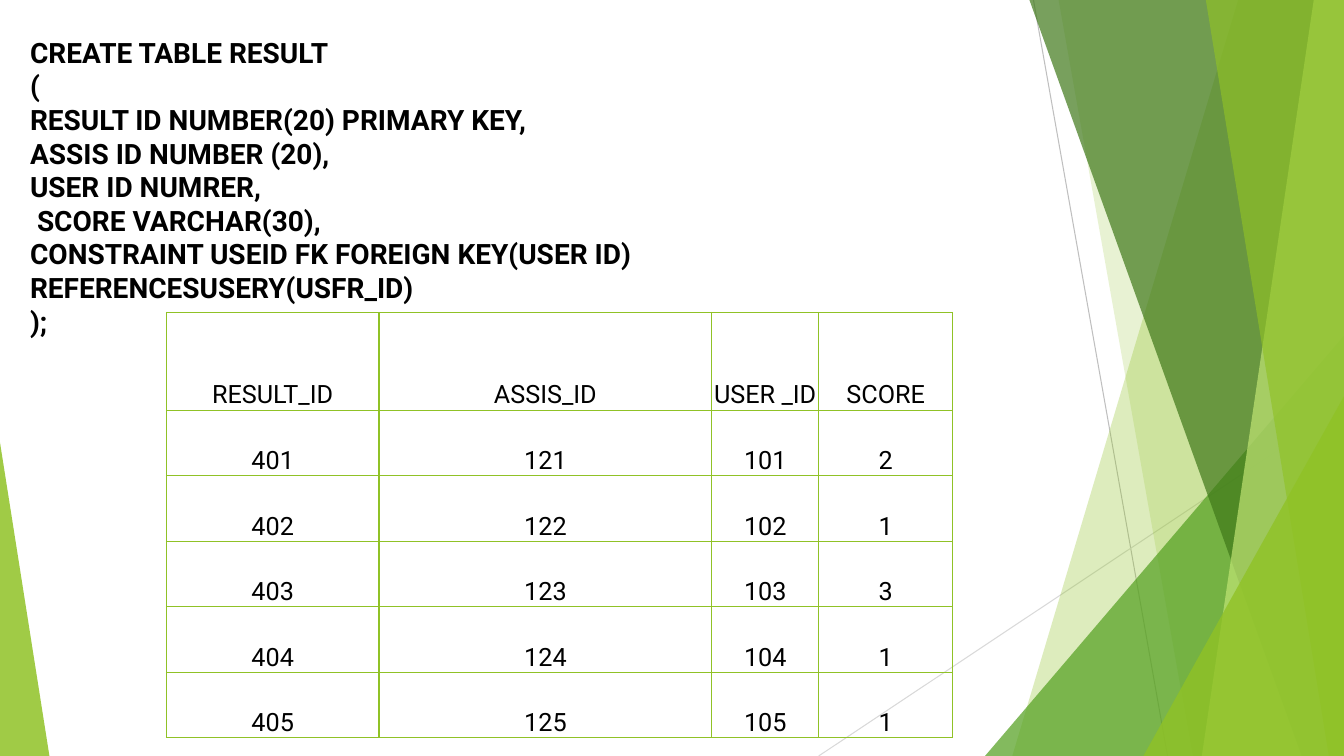
from dataclasses import dataclass
from typing import Any

from lxml.etree import SubElement
from pptx import Presentation
from pptx.dml.color import RGBColor
from pptx.enum.shapes import MSO_CONNECTOR, MSO_SHAPE
from pptx.enum.text import MSO_ANCHOR, PP_ALIGN
from pptx.oxml.ns import qn
from pptx.util import Inches, Pt

WIDE, HIGH = 13.33, 7.5


@dataclass(frozen=True)
class Theme:
    font: str = "Roboto"
    code: int = 20
    cell: int = 18
    ink: str = "000000"
    lime: str = "90C226"
    green: str = "54A021"
    dark: str = "3F7819"
    pale: str = "C0E474"
    gray: str = "BFBFBF"
    mist: str = "D9D9D9"


@dataclass(frozen=True)
class Ray:
    start: tuple[float, float]
    end: tuple[float, float]
    color: str


@dataclass(frozen=True)
class Band:
    """A panel reaching the right edge, with a slanted left side."""
    top: float
    base: float
    color: str
    alpha: int


@dataclass(frozen=True)
class Wedge:
    """A triangle standing on the bottom edge."""
    left: float
    top: float
    width: float
    peak: int
    color: str
    alpha: int


THEME = Theme()

RAYS = [
    Ray((10.25, 0), (11.58, HIGH), THEME.gray),
    Ray((WIDE, 4.03), (8.12, HIGH), THEME.mist),
]

# Back to front
FACETS = [
    Band(12.28, 10.04, THEME.lime, 30),
    Band(10.5, 11.83, THEME.lime, 20),
    Wedge(9.77, 3.33, 3.56, 1, THEME.green, 72),
    Band(10.21, 12.91, THEME.dark, 70),
    Band(13.03, 11.92, THEME.pale, 70),
    Band(11.96, 13.18, THEME.lime, 65),
    Wedge(11.34, 3.93, 1.99, 1, THEME.lime, 80),
    Wedge(0, 4.39, 0.49, 0, THEME.lime, 85),
]

CODE = """CREATE TABLE RESULT
(
RESULT ID NUMBER(20) PRIMARY KEY,
ASSIS ID NUMBER (20),
USER ID NUMRER,
 SCORE VARCHAR(30),
CONSTRAINT USEID FK FOREIGN KEY(USER ID) REFERENCESUSERY(USFR_ID)
);"""

HEAD = ["RESULT_ID", "ASSIS_ID", "USER _ID", "SCORE"]
SCORES = [2, 1, 3, 1, 1]
ROWS = [HEAD] + [
    [str(400 + n), str(120 + n), str(100 + n), str(score)]
    for n, score in enumerate(SCORES, 1)
]
COLS = [2.11, 3.3, 1.06, 1.33]
HEAD_TALL, ROW_TALL = 0.97, 0.65


def draw_ray(slide: Any, ray: Ray) -> None:
    ends = [Inches(v) for v in ray.start + ray.end]
    line = slide.shapes.add_connector(MSO_CONNECTOR.STRAIGHT, *ends)
    line.line.color.rgb = RGBColor.from_string(ray.color)
    line.line.width = Pt(0.75)
    SubElement(line._element.spPr, qn("a:effectLst"))


def draw_facet(slide: Any, facet: Band | Wedge) -> None:
    if isinstance(facet, Band):
        points = [(facet.top, 0), (WIDE, 0), (WIDE, HIGH), (facet.base, HIGH)]
        spots = [(Inches(x), Inches(y)) for x, y in points]
        pen = slide.shapes.build_freeform(*spots[0])
        pen.add_line_segments(spots[1:], close=True)
        shape = pen.convert_to_shape()
    else:
        shape = slide.shapes.add_shape(
            MSO_SHAPE.ISOSCELES_TRIANGLE, Inches(facet.left), Inches(facet.top),
            Inches(facet.width), Inches(HIGH - facet.top))
        shape.adjustments[0] = facet.peak
    shape.shadow.inherit = False
    shape.line.fill.background()
    shape.fill.solid()
    shape.fill.fore_color.rgb = RGBColor.from_string(facet.color)
    color = shape._element.spPr.find(qn("a:solidFill"))[0]
    SubElement(color, qn("a:alpha"), val=str(facet.alpha * 1000))


def set_font(para: Any, size: int, bold: bool) -> None:
    font = para.font
    font.name, font.size, font.bold = THEME.font, Pt(size), bold
    font.color.rgb = RGBColor.from_string(THEME.ink)


def draw_code(slide: Any) -> None:
    box = slide.shapes.add_textbox(
        Inches(0.2), Inches(0.3), Inches(9.93), Inches(2.79))
    frame = box.text_frame
    frame.word_wrap = True
    frame.text = CODE
    for para in frame.paragraphs:
        set_font(para, THEME.code, True)


def set_edges(cell: Any) -> None:
    props = cell._tc.get_or_add_tcPr()
    for side in ("lnL", "lnR", "lnT", "lnB"):
        edge = SubElement(props, qn(f"a:{side}"), w=str(Pt(1)))
        fill = SubElement(edge, qn("a:solidFill"))
        SubElement(fill, qn("a:srgbClr"), val=THEME.lime)


def fill_cell(cell: Any, text: str) -> None:
    cell.text = text
    cell.vertical_anchor = MSO_ANCHOR.BOTTOM
    cell.margin_left = cell.margin_right = cell.margin_top = Inches(0.01)
    cell.margin_bottom = 0
    para = cell.text_frame.paragraphs[0]
    para.alignment = PP_ALIGN.CENTER
    set_font(para, THEME.cell, False)
    set_edges(cell)
    cell.fill.background()


def draw_table(slide: Any) -> None:
    tall = HEAD_TALL + ROW_TALL * len(SCORES)
    table = slide.shapes.add_table(
        len(ROWS), len(COLS), Inches(1.65), Inches(3.1),
        Inches(sum(COLS)), Inches(tall)).table
    table.first_row = table.horz_banding = False
    for col, width in zip(table.columns, COLS):
        col.width = Inches(width)
    for r, texts in enumerate(ROWS):
        table.rows[r].height = Inches(ROW_TALL if r else HEAD_TALL)
        for c, text in enumerate(texts):
            fill_cell(table.cell(r, c), text)


def main() -> None:
    deck = Presentation()
    deck.slide_width, deck.slide_height = Inches(WIDE), Inches(HIGH)
    slide = deck.slides.add_slide(deck.slide_layouts[6])

    # Backdrop
    for ray in RAYS:
        draw_ray(slide, ray)
    for facet in FACETS:
        draw_facet(slide, facet)

    # Content
    draw_code(slide)
    draw_table(slide)
    deck.save("out.pptx")


if __name__ == "__main__":
    main()
